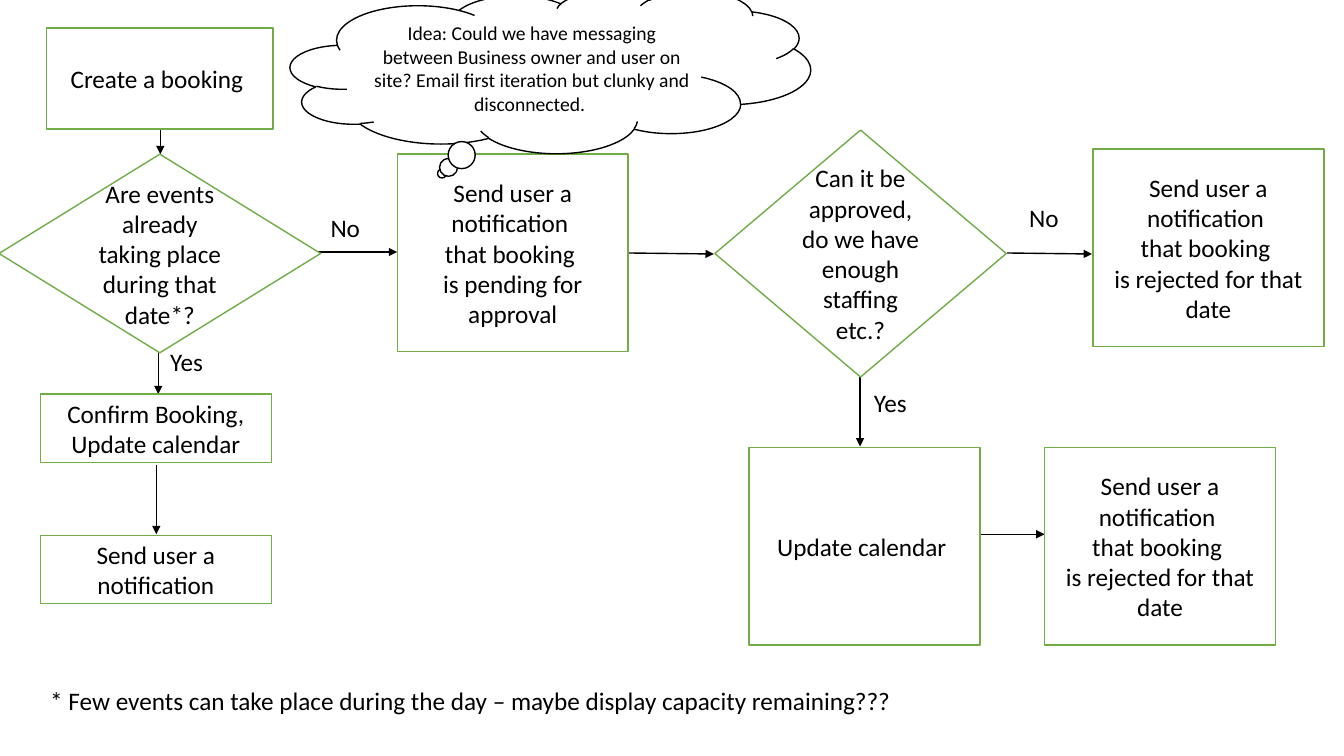
from pptx import Presentation
from pptx.dml.color import RGBColor
from pptx.enum.shapes import MSO_CONNECTOR, MSO_SHAPE as SHAPE
from pptx.enum.text import MSO_ANCHOR, MSO_AUTO_SIZE, PP_ALIGN
from pptx.oxml.ns import qn
from pptx.util import Inches, Pt
from lxml.etree import SubElement

BLACK, WHITE, GREEN = "000000", "FFFFFF", "70AD47"
BOX_W, BOX_H, SMALL_H = 2.29, 1.96, 0.68


def rgb(value):
    return RGBColor.from_string(value)


def write(tf, lines, size=18, align=PP_ALIGN.CENTER):
    """Put each line in its own paragraph of the text frame."""
    tf.text = "\n".join(lines)
    for p in tf.paragraphs:
        p.alignment = align
        p.font.name = "Calibri"
        p.font.size = Pt(size)
        p.font.color.rgb = rgb(BLACK)


prs = Presentation()
prs.slide_width, prs.slide_height = Inches(13.33), Inches(7.5)
s = prs.slides.add_slide(prs.slide_layouts[6])

# Arrows lie behind the steps they join
arrows = [
    (1.59, 1.29, 1.59, 1.53),
    (1.57, 3.22, 1.57, 3.91),
    (1.55, 4.61, 1.55, 5.3),
    (3.1, 2.5, 3.94, 2.5),
    (6.24, 2.51, 7.08, 2.52),
    (9.99, 2.51, 10.83, 2.52),
    (8.53, 3.74, 8.53, 4.43),
    (9.72, 5.3, 10.36, 5.3),
]
for ends in arrows:
    arrow = s.shapes.add_connector(MSO_CONNECTOR.STRAIGHT, *map(Inches, ends))
    arrow.line.color.rgb = rgb(BLACK)
    arrow.line.width = Pt(1)
    SubElement(arrow.line._get_or_add_ln(), qn("a:tailEnd"), type="triangle")
    SubElement(arrow._element.spPr, qn("a:effectLst"))

notify = ["Send user a notification ", "that booking "]
pending = notify + ["is pending for approval"]
rejected = notify + ["is rejected for that date"]
idea = ("Idea: Could we have messaging between Business owner and user on site? "
        "Email first iteration but clunky and disconnected. ")

# kind, left, top, width, height, line colour, text size, lines
steps = [
    (SHAPE.RECTANGLE, 0.46, 0.28, 2.25, 1, GREEN, 18, ["Create a booking "]),
    (SHAPE.RECTANGLE, 0.4, 3.91, BOX_W, SMALL_H, GREEN, 18,
     ["Confirm Booking,", "Update calendar"]),
    (SHAPE.RECTANGLE, 0.4, 5.31, BOX_W, SMALL_H, GREEN, 18,
     ["Send user a notification"]),
    (SHAPE.RECTANGLE, 3.94, 1.53, BOX_W, BOX_H, GREEN, 18, pending),
    (SHAPE.FLOWCHART_DECISION, 7.09, 1.29, 2.89, 2.45, GREEN, 18,
     ["Can it be approved, do we have enough staffing etc.?"]),
    (SHAPE.FLOWCHART_DECISION, -0.01, 1.53, 3.19, 1.97, GREEN, 18,
     ["Are events already taking place during that date*?"]),
    (SHAPE.RECTANGLE, 10.84, 1.48, BOX_W, BOX_H, GREEN, 18, rejected),
    (SHAPE.CLOUD_CALLOUT, 2.88, -0.09, 5.16, 1.61, BLACK, 14, [idea]),
    (SHAPE.RECTANGLE, 10.36, 4.44, BOX_W, BOX_H, GREEN, 18, rejected),
    (SHAPE.RECTANGLE, 7.43, 4.44, BOX_W, BOX_H, GREEN, 18, ["Update calendar "]),
]
for kind, left, top, width, height, color, size, lines in steps:
    sp = s.shapes.add_shape(kind, Inches(left), Inches(top), Inches(width), Inches(height))
    sp.shadow.inherit = False
    sp.fill.solid()
    sp.fill.fore_color.rgb = rgb(WHITE)
    sp.line.color.rgb = rgb(color)
    sp.line.width = Pt(1)
    sp.text_frame.vertical_anchor = MSO_ANCHOR.MIDDLE
    write(sp.text_frame, lines, size)

labels = [
    (1.59, 3.39, 0.53, "Yes"),
    (3.18, 2.06, 0.5, "No"),
    (10.11, 1.96, 0.5, "No"),
    (8.57, 3.79, 0.53, "Yes"),
    (0.4, 6.75, 8.7,
     "* Few events can take place during the day – maybe display capacity remaining???"),
]
for left, top, width, text in labels:
    label = s.shapes.add_textbox(Inches(left), Inches(top), Inches(width), Inches(0.4))
    tf = label.text_frame
    tf.word_wrap = False
    tf.auto_size = MSO_AUTO_SIZE.SHAPE_TO_FIT_TEXT
    write(tf, [text], align=PP_ALIGN.LEFT)

prs.save("out.pptx")
